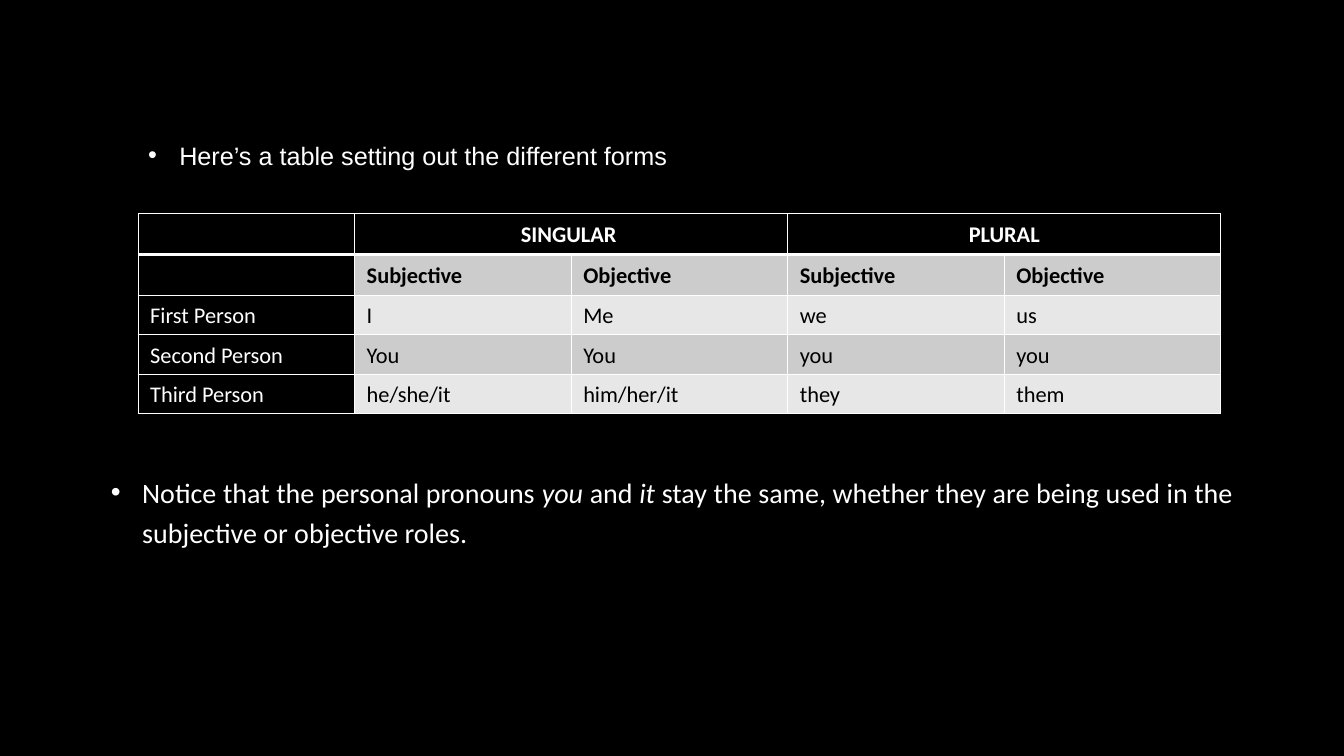
from dataclasses import dataclass

from lxml import etree
from pptx import Presentation
from pptx.dml.color import RGBColor
from pptx.enum.text import MSO_ANCHOR, MSO_AUTO_SIZE, PP_ALIGN
from pptx.oxml.ns import qn
from pptx.util import Inches, Pt

MIDDLE, TOP = MSO_ANCHOR.MIDDLE, MSO_ANCHOR.TOP
CENTER, LEFT, JUSTIFY = PP_ALIGN.CENTER, PP_ALIGN.LEFT, PP_ALIGN.JUSTIFY


@dataclass(frozen=True)
class Theme:
    black: str = "000000"
    white: str = "FFFFFF"
    bands: tuple = ("CCCCCC", "E7E7E7")
    body_font: str = "Calibri"
    intro_font: str = "Arial"
    cell_size: int = 16
    intro_size: int = 18
    body_size: int = 20


theme = Theme()


def add_run(p, text, font, size, color, **flags):
    r = p.add_run()
    r.text = text
    r.font.color.rgb = RGBColor.from_string(color)
    for name, value in dict(name=font, size=Pt(size), **flags).items():
        setattr(r.font, name, value)


def format_bullet(p, **formats):
    for name, value in formats.items():
        setattr(p, name, value)
    pPr = p._p.get_or_add_pPr()
    pPr.set("marL", str(Inches(0.31)))
    pPr.set("indent", str(-Inches(0.31)))
    color = etree.SubElement(pPr, qn("a:buClr"))
    etree.SubElement(color, qn("a:srgbClr"), val=theme.white)
    etree.SubElement(pPr, qn("a:buFont"), typeface=theme.intro_font)
    etree.SubElement(pPr, qn("a:buChar"), char="•")


# Slide and background
prs = Presentation()
prs.slide_width, prs.slide_height = Inches(13.33), Inches(7.5)
s = prs.slides.add_slide(prs.slide_layouts[1])
s.background.fill.solid()
s.background.fill.fore_color.rgb = RGBColor.from_string(theme.black)
title = s.shapes.title.element
title.getparent().remove(title)

# Pronoun table
rows = [
    ["", "SINGULAR ", "", "PLURAL", ""],
    ["", "Subjective", "Objective", "Subjective", "Objective"],
    ["First Person", "I", "Me", "we", "us"],
    ["Second Person", "You", "You", "you", "you"],
    ["Third Person", "he/she/it", "him/her/it", "they", "them"],
]
table = s.shapes.add_table(5, 5, Inches(1.37), Inches(2.12),
                           Inches(10.74), Inches(1.9)).table
for col in (1, 3):
    table.cell(0, col).merge(table.cell(0, col + 1))

for i, row in enumerate(rows):
    for j, text in enumerate(row):
        cell = table.cell(i, j)
        dark = i == 0 or j == 0
        margins = dict(margin_left=0.12, margin_right=0.12,
                       margin_top=0.05, margin_bottom=0.05)
        for name, value in margins.items():
            setattr(cell, name, Inches(value))
        cell.vertical_anchor = MIDDLE

        # Cell borders, heavier around the header's lower edge
        heavy = {0: "B", 1: "T"}.get(i)
        tcPr = cell._tc.get_or_add_tcPr()
        for side in "LRTB":
            width = Pt(3 if side == heavy else 1)
            ln = etree.SubElement(tcPr, qn(f"a:ln{side}"), w=str(width))
            line_fill = etree.SubElement(ln, qn("a:solidFill"))
            etree.SubElement(line_fill, qn("a:srgbClr"), val=theme.white)
        cell.fill.solid()
        cell.fill.fore_color.rgb = RGBColor.from_string(
            theme.black if dark else theme.bands[(i - 1) % 2])

        if text:
            p = cell.text_frame.paragraphs[0]
            p.alignment = CENTER if i == 0 else LEFT
            p.line_spacing = 1.07
            add_run(p, text, theme.body_font, theme.cell_size,
                    theme.white if dark else theme.black, bold=i < 2)

# Note below the table
sp = s.placeholders[1]
sp.left, sp.top = Inches(1), Inches(4.6)
sp.width, sp.height = Inches(11.33), Inches(1.74)
tf = sp.text_frame
tf.auto_size = MSO_AUTO_SIZE.NONE
tf.vertical_anchor = TOP
p = tf.paragraphs[0]
format_bullet(p, alignment=JUSTIFY, line_spacing=1.2, space_before=Pt(10))
note = [
    ("Notice that the personal pronouns ", False),
    ("you ", True),
    ("and ", False),
    ("it ", True),
    ("stay the same, whether they are being used in the "
     "subjective or objective roles.", False),
]
for text, italic in note:
    add_run(p, text, theme.body_font, theme.body_size, theme.white, italic=italic)

# Introduction above the table
sp = s.shapes.add_textbox(Inches(1.37), Inches(1.37), Inches(10.26), Inches(0.38))
tf = sp.text_frame
tf.word_wrap = True
tf.auto_size = MSO_AUTO_SIZE.SHAPE_TO_FIT_TEXT
p = tf.paragraphs[0]
format_bullet(p, line_spacing=Pt(19.5), space_after=Pt(12))
add_run(p, "Here’s a table setting out the different forms",
        theme.intro_font, theme.intro_size, theme.white)

prs.save("out.pptx")
